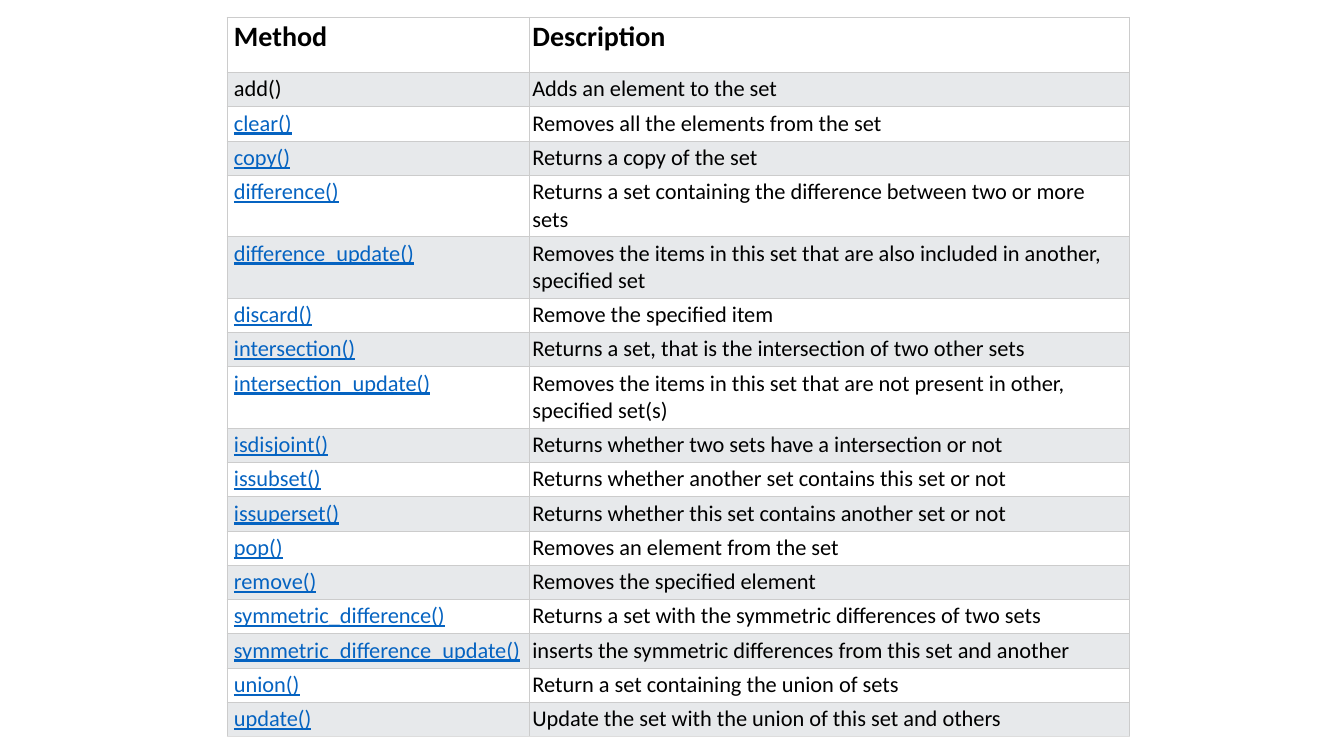
from lxml import etree
from pptx import Presentation
from pptx.dml.color import RGBColor
from pptx.oxml import ns
from pptx.util import Inches, Pt

COLORS = {
    "text": "000000",
    "link": "0563C1",
    "plain": "FFFFFF",
    "band": "E7E9EB",
    "line": "CCCCCC",
    "base": "DDDDDD",
}
FONT = "Calibri"
HEAD = ("Method", "Description")
METHODS = [
    ("add()", "Adds an element to the set"),
    ("clear()", "Removes all the elements from the set"),
    ("copy()", "Returns a copy of the set"),
    ("difference()", "Returns a set containing the difference between two or more sets"),
    ("difference_update()", "Removes the items in this set that are also included in another, specified set"),
    ("discard()", "Remove the specified item"),
    ("intersection()", "Returns a set, that is the intersection of two other sets"),
    ("intersection_update()", "Removes the items in this set that are not present in other, specified set(s)"),
    ("isdisjoint()", "Returns whether two sets have a intersection or not"),
    ("issubset()", "Returns whether another set contains this set or not"),
    ("issuperset()", "Returns whether this set contains another set or not"),
    ("pop()", "Removes an element from the set"),
    ("remove()", "Removes the specified element"),
    ("symmetric_difference()", "Returns a set with the symmetric differences of two sets"),
    ("symmetric_difference_update()", "inserts the symmetric differences from this set and another"),
    ("union()", "Return a set containing the union of sets"),
    ("update()", "Update the set with the union of this set and others"),
]
WIDTHS = (3, 5.95)
TALL = ("difference()", "difference_update()", "intersection_update()")


def rgb(name):
    return RGBColor.from_string(COLORS[name])


def add_edges(cell, base):
    props = cell._tc.get_or_add_tcPr()
    sides = {"lnL": "line", "lnR": "line", "lnT": "line", "lnB": base}
    for spot, (side, color) in enumerate(sides.items()):
        edge = etree.Element(ns.qn(f"a:{side}"), w=str(Pt(0.6)))
        fill = etree.SubElement(edge, ns.qn("a:solidFill"))
        etree.SubElement(fill, ns.qn("a:srgbClr"), val=COLORS[color])
        props.insert(spot, edge)


def fill_cell(cell, words, left, back, size, color="text", bold=False, base="line"):
    cell.margin_left = Inches(left)
    cell.margin_right = cell.margin_top = cell.margin_bottom = Inches(0.03)
    cell.fill.solid()
    cell.fill.fore_color.rgb = rgb(back)
    cell.text = words
    font = cell.text_frame.paragraphs[0].font
    font.name = FONT
    font.size = Pt(size)
    font.bold = bold
    font.underline = color == "link"
    font.color.rgb = rgb(color)
    add_edges(cell, base)


def row_height(name):
    if name == HEAD[0]:
        return 0.55
    return 0.61 if name in TALL else 0.34


def add_methods(slide):
    rows = [HEAD] + METHODS
    heights = [row_height(name) for name, _ in rows]
    frame = slide.shapes.add_table(
        len(rows), len(WIDTHS), Inches(2.25), Inches(0.17),
        Inches(sum(WIDTHS)), Inches(sum(heights)))
    table = frame.table
    for column, width in zip(table.columns, WIDTHS):
        column.width = Inches(width)
    for r, (name, about) in enumerate(rows):
        table.rows[r].height = Inches(heights[r])
        style = {
            "back": "band" if r % 2 else "plain",
            "size": 16 if r else 20,
            "bold": r == 0,
            "base": "base" if r == len(rows) - 1 else "line",
        }
        color = "link" if r > 1 else "text"
        fill_cell(table.cell(r, 0), name, 0.07, color=color, **style)
        fill_cell(table.cell(r, 1), about, 0.03, **style)


def main():
    deck = Presentation()
    deck.slide_width = Inches(13.33)
    deck.slide_height = Inches(7.5)
    slide = deck.slides.add_slide(deck.slide_layouts[6])
    add_methods(slide)
    deck.save("out.pptx")


if __name__ == "__main__":
    main()
